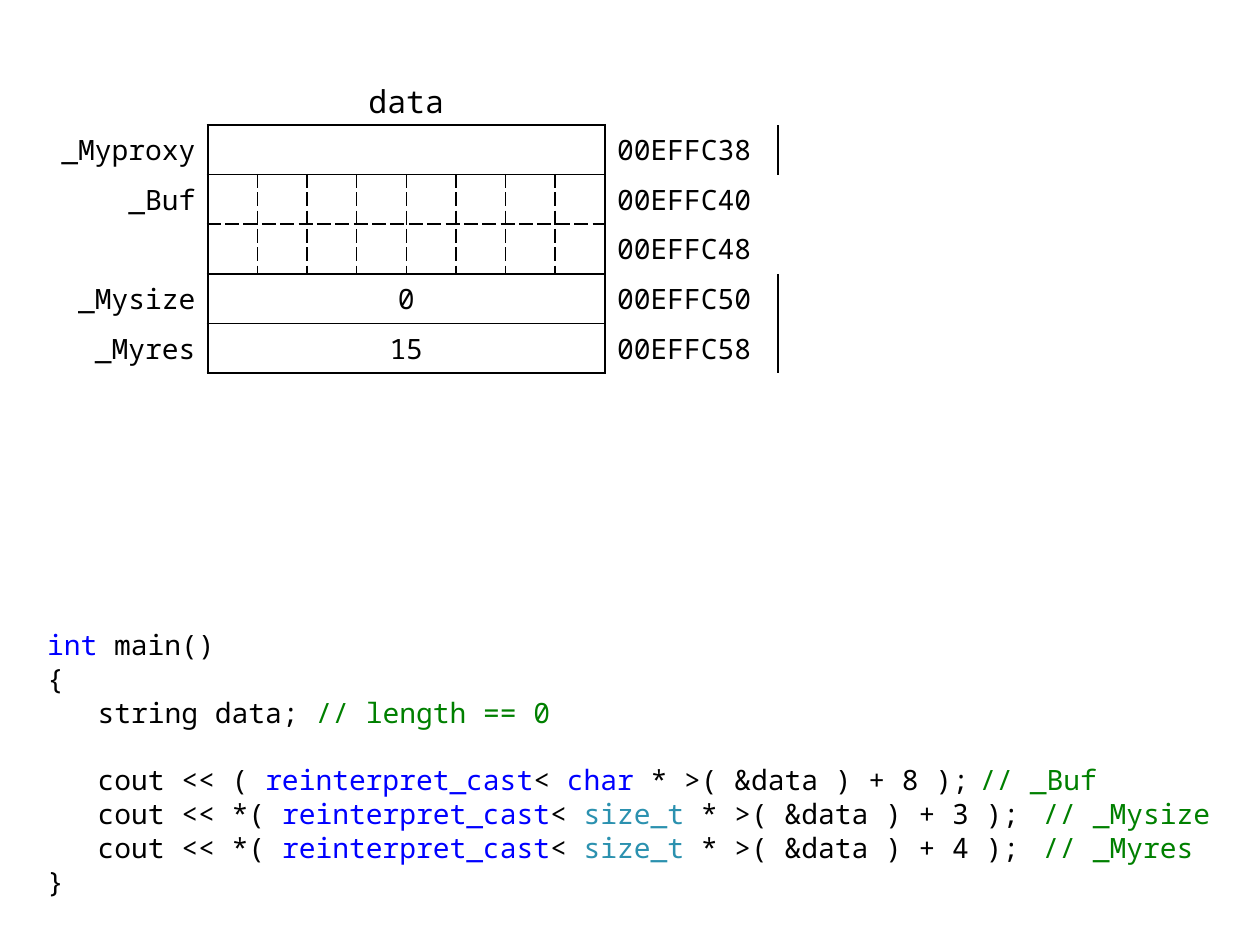
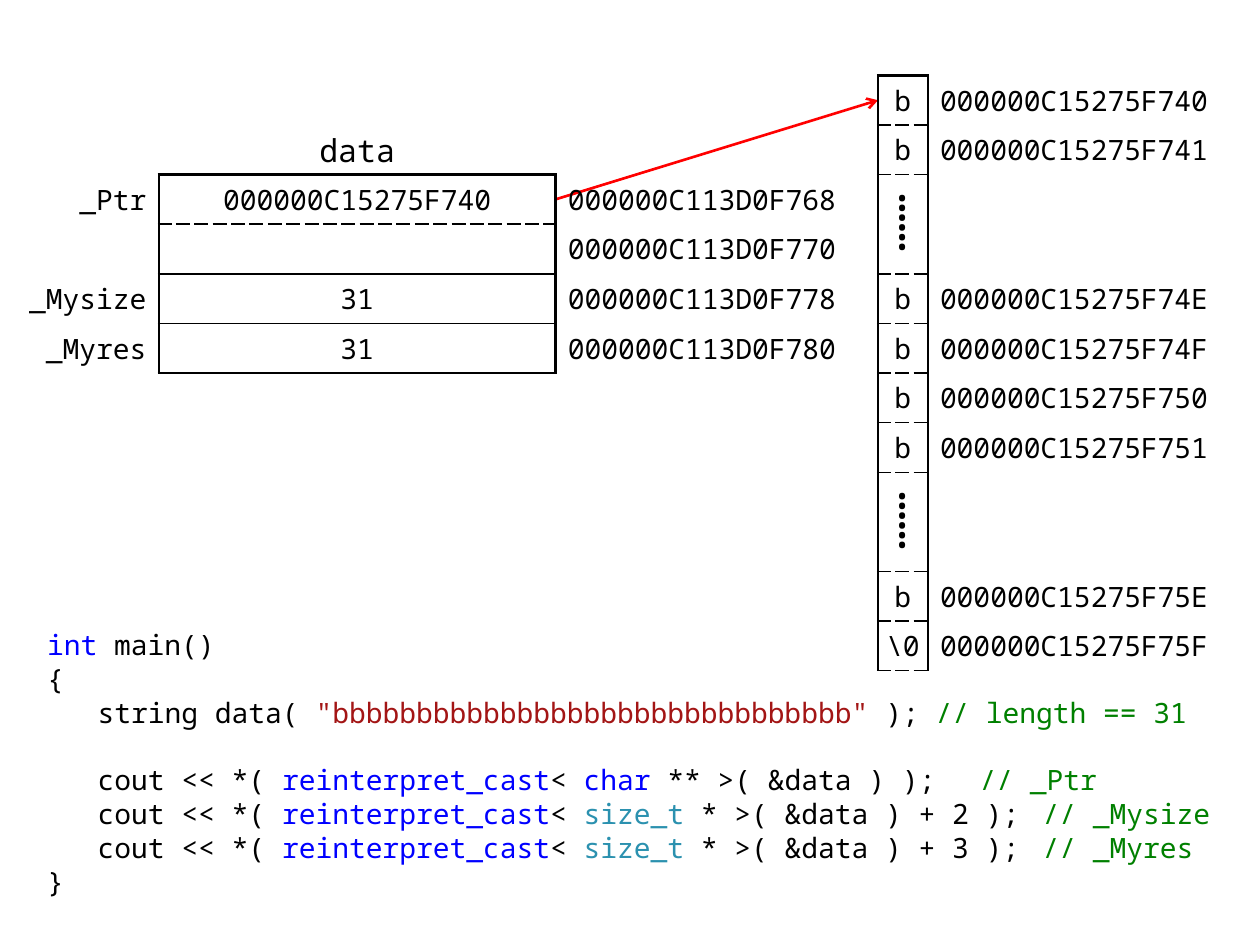
import pptx
import pptx.dml.color
import pptx.enum.shapes
import pptx.enum.text
import pptx.oxml
import pptx.util
from lxml import etree

Cm = pptx.util.Cm
Pt = pptx.util.Pt
Align = pptx.enum.text.PP_ALIGN
Anchor = pptx.enum.text.MSO_ANCHOR

COLORS = {
    "text": "000000",
    "keyword": "0000FF",
    "type": "2B91AF",
    "string": "A31515",
    "comment": "008000",
    "arrow": "FF0000",
}
CODE_FONT = "Noto Sans Mono"
CODE_SIZE = 16
LINE_PITCH = 19.3
ROW = 1
BORDERS = {"thick": (1.5, "solid"), "thin": (1, "solid"), "dash": (1, "sysDash")}
NO_GRID_STYLE = "{2D5ABB26-0587-4C30-8999-92F81FD0307C}"
VERTICAL_DOTS = "⸽"


def rgb(name):
    return pptx.dml.color.RGBColor.from_string(COLORS[name])


def add_xml(parent, tag, **attributes):
    child = etree.SubElement(parent, pptx.oxml.ns.qn(tag))
    for key, value in attributes.items():
        child.set(key, str(value))
    return child


def set_font(font, size=CODE_SIZE, name=CODE_FONT):
    font.name = name
    font.size = Pt(size)
    font.color.rgb = rgb("text")


def set_margins(target, horizontal, vertical):
    target.margin_left = target.margin_right = Cm(horizontal)
    target.margin_top = target.margin_bottom = Cm(vertical)


def set_borders(cell, borders):
    properties = cell._tc.get_or_add_tcPr()
    for side in "LRTB":
        if side in borders:
            width, dash = BORDERS[borders[side]]
            line = add_xml(properties, f"a:ln{side}", w=Pt(width))
            fill = add_xml(line, "a:solidFill")
            add_xml(fill, "a:srgbClr", val=COLORS["text"])
            add_xml(line, "a:prstDash", val=dash)


def fill_cell(cell, text="", alignment=Align.LEFT, margins=(0.25, 0.1), **borders):
    set_borders(cell, borders)
    cell.fill.background()
    cell.vertical_anchor = Anchor.MIDDLE
    set_margins(cell, *margins)
    cell.text = text
    paragraph = cell.text_frame.paragraphs[0]
    paragraph.alignment = alignment
    if text == VERTICAL_DOTS:
        set_font(paragraph.font, 28, "Times New Roman")
    else:
        set_font(paragraph.font)


def add_plain_table(slide, left, top, widths, row_count):
    frame = slide.shapes.add_table(
        row_count, len(widths), Cm(left), Cm(top), Cm(sum(widths)), Cm(row_count * ROW)
    )
    table = frame.table
    table.first_row = table.horz_banding = False
    table._tbl.tblPr.find(pptx.oxml.ns.qn("a:tableStyleId")).text = NO_GRID_STYLE
    for column, width in zip(table.columns, widths):
        column.width = Cm(width)
    for row in table.rows:
        row.height = Cm(ROW)
    return table


def add_member_table(slide, left, top, label_width, value_widths, address_width, members, dividers):
    widths = [label_width, *value_widths, address_width]
    table = add_plain_table(slide, left, top, widths, len(members))
    last = len(value_widths)
    edges = ["thick", *dividers, "thick"]
    for row, (label, value, address) in enumerate(members):
        above, below = edges[row : row + 2]
        fill_cell(table.cell(row, 0), label, Align.RIGHT, R="thick")
        fill_cell(table.cell(row, last + 1), address, L="thick")
        if value is not None and last > 1:
            table.cell(row, 1).merge(table.cell(row, last))
        for column in range(1, last + 1):
            whole = value is not None
            fill_cell(
                table.cell(row, column),
                value if whole and column == 1 else "",
                Align.CENTER,
                L="thick" if column == 1 else "dash",
                R="thick" if column == last or whole else "dash",
                T=above,
                B=below,
            )
            if whole:
                break


def add_character_table(slide, left, top, entries):
    row_count = sum(1 if address else 2 for _, address in entries)
    table = add_plain_table(slide, left, top, [1, 6], row_count)
    row = 0
    for character, address in entries:
        span = 1 if address else 2
        if span == 2:
            table.cell(row, 0).merge(table.cell(row + 1, 0))
        for offset in range(span):
            fill_cell(
                table.cell(row + offset, 0),
                "" if offset else character,
                Align.CENTER,
                (0, 0),
                L="thick",
                R="thick",
                T="dash" if row else "thick",
                B="dash",
            )
            fill_cell(table.cell(row + offset, 1), address, L="thick")
        row += span


def add_variable_name(slide, left, top, width):
    box = slide.shapes.add_textbox(Cm(left), Cm(top), Cm(width), Cm(1))
    frame = box.text_frame
    frame.word_wrap = True
    set_margins(frame, 0.2, 0.13)
    paragraph = frame.paragraphs[0]
    paragraph.text = "data"
    paragraph.alignment = Align.CENTER
    set_font(paragraph.font, 18)


def add_pointer_arrow(slide, start, end):
    arrow = slide.shapes.add_connector(
        pptx.enum.shapes.MSO_CONNECTOR.STRAIGHT, *map(Cm, start), *map(Cm, end)
    )
    arrow.line.color.rgb = rgb("arrow")
    arrow.line.width = Pt(1.5)
    add_xml(arrow.line._get_or_add_ln(), "a:tailEnd", type="arrow")
    add_xml(arrow._element.spPr, "a:effectLst")


def output_line(opening, cast_type, ending, comment):
    type_color = "keyword" if cast_type == "char" else "type"
    return [
        (f"cout << {opening} ", "text"),
        ("reinterpret_cast", "keyword"),
        ("< ", "text"),
        (cast_type, type_color),
        (f" {ending}\t", "text"),
        (f"// {comment}", "comment"),
    ]


def add_code(slide, left, top, width, height, declaration, outputs):
    body = slide.placeholders[1]
    body.left, body.top, body.width, body.height = map(Cm, (left, top, width, height))
    frame = body.text_frame
    frame.word_wrap = True
    frame.auto_size = pptx.enum.text.MSO_AUTO_SIZE.NONE
    frame.vertical_anchor = Anchor.TOP
    set_margins(frame, 0.25, 0.13)
    statements = [declaration, *(output_line(*output) for output in outputs)]
    lines = [[("int", "keyword"), (" main()", "text")], [("{", "text")]]
    lines += [*statements, [("}", "text")]]
    for index, runs in enumerate(lines):
        paragraph = frame.paragraphs[0] if index == 0 else frame.add_paragraph()
        paragraph.line_spacing = Pt(LINE_PITCH)
        paragraph.space_before = Pt(LINE_PITCH if runs is statements[1] else 0)
        paragraph.space_after = Pt(0)
        properties = paragraph._p.get_or_add_pPr()
        properties.set("marL", str(Cm(1.02 if runs in statements else 0)))
        properties.set("indent", "0")
        add_xml(properties, "a:buNone")
        tabs = add_xml(properties, "a:tabLst")
        add_xml(tabs, "a:tab", pos=Cm(19.96), algn="l")
        set_font(paragraph.font)
        for text, color in runs:
            run = paragraph.add_run()
            run.text = text
            run.font.color.rgb = rgb(color)


def add_code_slide(presentation, declaration, outputs):
    slide = presentation.slides.add_slide(presentation.slide_layouts[1])
    title = slide.shapes.title._element
    title.getparent().remove(title)
    add_code(slide, 0.7, 12.52, 24, 5.5, declaration, outputs)
    return slide


def build_short_string_slide(presentation):
    slide = add_code_slide(
        presentation,
        [("string data; ", "text"), ("// length == 0", "comment")],
        [
            ("(", "char", "* >( &data ) + 8 );", "_Buf"),
            ("*(", "size_t", "* >( &data ) + 3 );", "_Mysize"),
            ("*(", "size_t", "* >( &data ) + 4 );", "_Myres"),
        ],
    )
    members = [
        ("_Myproxy", "", "00EFFC38"),
        ("_Buf", None, "00EFFC40"),
        ("", None, "00EFFC48"),
        ("_Mysize", "0", "00EFFC50"),
        ("_Myres", "15", "00EFFC58"),
    ]
    dividers = ["thin", "dash", "thin", "thin"]
    add_member_table(slide, 0.69, 2.52, 3.5, [1] * 8, 3.5, members, dividers)
    add_variable_name(slide, 6.19, 1.52, 4)


def build_long_string_slide(presentation):
    slide = add_code_slide(
        presentation,
        [
            ("string data( ", "text"),
            ('"' + "b" * 31 + '" ', "string"),
            ("); ", "text"),
            ("// length == 31", "comment"),
        ],
        [
            ("*(", "char", "** >( &data ) );", "_Ptr"),
            ("*(", "size_t", "* >( &data ) + 2 );", "_Mysize"),
            ("*(", "size_t", "* >( &data ) + 3 );", "_Myres"),
        ],
    )
    add_pointer_arrow(slide, (11.2, 4.02), (17.7, 2.02))
    members = [
        ("_Ptr", "000000C15275F740", "000000C113D0F768"),
        ("", "", "000000C113D0F770"),
        ("_Mysize", "31", "000000C113D0F778"),
        ("_Myres", "31", "000000C113D0F780"),
    ]
    add_member_table(slide, 0.2, 3.52, 3, [8], 6, members, ["dash", "thin", "thin"])
    entries = [
        ("b", "40"),
        ("b", "41"),
        (VERTICAL_DOTS, ""),
        ("b", "4E"),
        ("b", "4F"),
        ("b", "50"),
        ("b", "51"),
        (VERTICAL_DOTS, ""),
        ("b", "5E"),
        ("\\0", "5F"),
    ]
    entries = [(text, end and f"000000C15275F7{end}") for text, end in entries]
    add_character_table(slide, 17.7, 1.52, entries)
    add_variable_name(slide, 6.2, 2.52, 2)


def main():
    presentation = pptx.Presentation()
    presentation.slide_width = Cm(25.4)
    presentation.slide_height = Cm(19.05)
    build_short_string_slide(presentation)
    build_long_string_slide(presentation)
    presentation.save("out.pptx")


if __name__ == "__main__":
    main()
